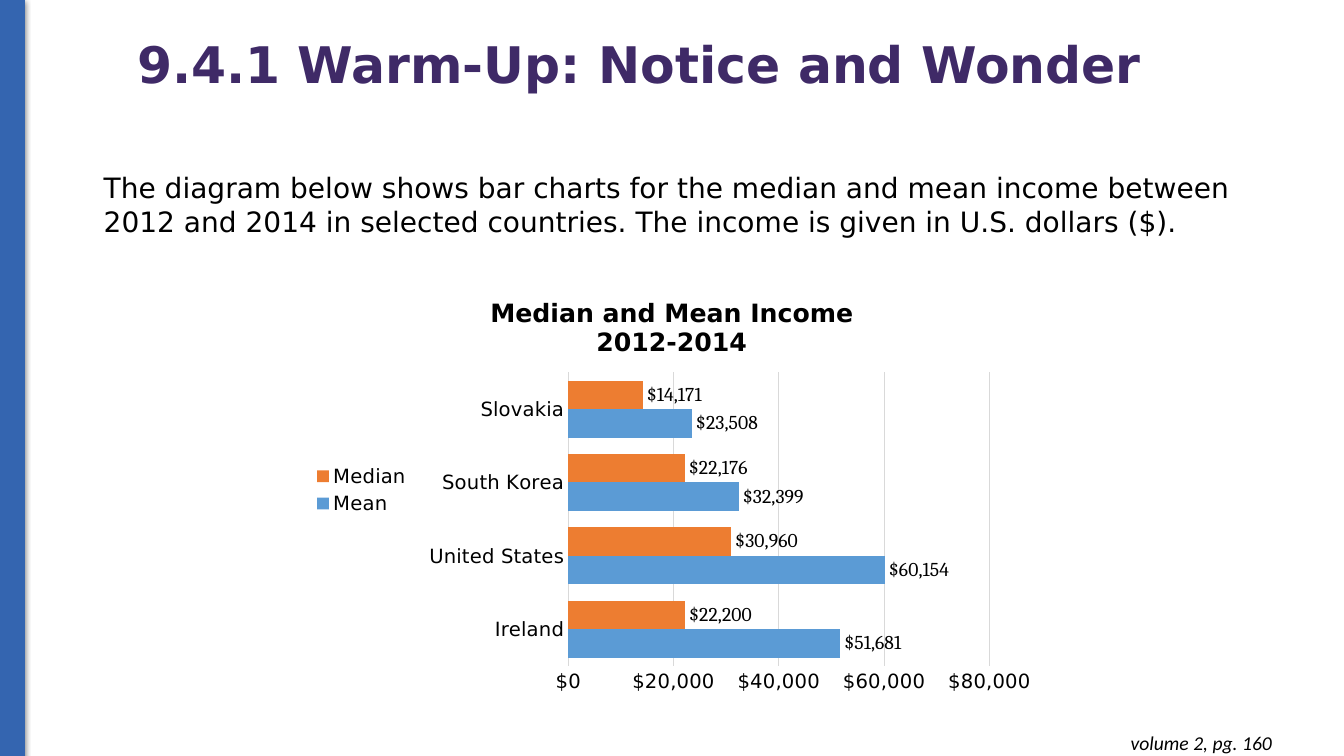
from lxml import etree
from pptx import Presentation
from pptx.chart.data import CategoryChartData
from pptx.dml.color import RGBColor
from pptx.enum.chart import XL_CHART_TYPE, XL_LABEL_POSITION, XL_LEGEND_POSITION, XL_TICK_MARK
from pptx.enum.shapes import MSO_SHAPE
from pptx.enum.text import MSO_ANCHOR, MSO_AUTO_SIZE, PP_ALIGN
from pptx.oxml import parse_xml
from pptx.oxml.ns import nsdecls, qn
from pptx.util import Cm, Pt

BAR_CLUSTERED = XL_CHART_TYPE.BAR_CLUSTERED
LEGEND_LEFT = XL_LEGEND_POSITION.LEFT
OUTSIDE_END = XL_LABEL_POSITION.OUTSIDE_END
NO_TICK = XL_TICK_MARK.NONE
RECTANGLE = MSO_SHAPE.RECTANGLE
TOP, MIDDLE = MSO_ANCHOR.TOP, MSO_ANCHOR.MIDDLE
NO_AUTOFIT = MSO_AUTO_SIZE.NONE
LEFT, RIGHT, CENTER = PP_ALIGN.LEFT, PP_ALIGN.RIGHT, PP_ALIGN.CENTER

COLORS = {
    "stripe": "3465B0",
    "title": "3F2A67",
    "text": "000000",
    "grid": "D9D9D9",
    "mean": "5B9BD5",
    "median": "ED7D31",
}
SANS = "DejaVu Sans"
DOLLARS = '"$"#,##0'

COUNTRIES = ["Ireland", "United States", "South Korea", "Slovakia"]
INCOMES = {
    "Mean": [51681, 60154, 32399, 23508],
    "Median": [22200, 30960, 22176, 14171],
}


def color(name):
    return RGBColor.from_string(COLORS[name])


def set_font(font, size, name=SANS, shade="text", bold=False, italic=False):
    font.size, font.name = Pt(size), name
    font.bold, font.italic = bold, italic
    font.color.rgb = color(shade)


def write(frame, text, align=LEFT, spacing=1.0, **font_format):
    """Fill a text frame, one paragraph for each line of text."""
    frame.text = text
    for para in frame.paragraphs:
        para.alignment = align
        para.line_spacing = spacing
        para.space_before = Pt(0)
        for span in para.runs:
            set_font(span.font, **font_format)


def place(shape, box):
    shape.left, shape.top, shape.width, shape.height = map(Cm, box)


def add_stripe(page, box):
    stripe = page.shapes.add_shape(RECTANGLE, *map(Cm, box))
    stripe.fill.solid()
    stripe.fill.fore_color.rgb = color("stripe")
    stripe.line.color.rgb = color("stripe")
    stripe.line.width = Pt(0.75)
    # Soft shadow
    stripe.shadow.inherit = False
    effects = stripe._element.spPr.find(qn("a:effectLst"))
    effects.append(parse_xml(
        f'<a:outerShdw {nsdecls("a")} blurRad="{Pt(4.5)}" dist="{Pt(1.5)}" '
        'dir="5400000" rotWithShape="0"><a:srgbClr val="000000">'
        '<a:alpha val="50000"/></a:srgbClr></a:outerShdw>'))


def add_heading(page, box):
    title = page.shapes.title
    place(title, box)
    frame = title.text_frame
    frame.auto_size = NO_AUTOFIT
    frame.vertical_anchor = MIDDLE
    write(frame, "9.4.1 Warm-Up: Notice and Wonder", spacing=0.9,
          size=36, shade="title", bold=True)


def add_intro(page, box):
    body = page.placeholders[1]
    place(body, box)
    frame = body.text_frame
    frame.auto_size = NO_AUTOFIT
    frame.vertical_anchor = TOP
    write(frame, "The diagram below shows bar charts for the median and mean income "
          "between 2012 and 2014 in selected countries. The income is given in "
          "U.S. dollars ($).", size=20)
    # Plain paragraph without bullet or indent
    properties = frame.paragraphs[0]._p.get_or_add_pPr()
    properties.set("marL", "0")
    properties.set("indent", "0")
    etree.SubElement(properties, qn("a:buNone"))


def set_plot_area(chart, **fractions):
    """Fix the inner plot area as fractions of the chart."""
    plot_area = chart._chartSpace.chart.plotArea
    for layout in plot_area.findall(qn("c:layout")):
        plot_area.remove(layout)
    settings = {"layoutTarget": "inner", "xMode": "edge", "yMode": "edge", **fractions}
    items = "".join(f'<c:{key} val="{value}"/>' for key, value in settings.items())
    plot_area.insert(0, parse_xml(
        f'<c:layout {nsdecls("c")}><c:manualLayout>{items}</c:manualLayout></c:layout>'))


def add_income_chart(page, box):
    data = CategoryChartData(number_format=DOLLARS)
    data.categories = COUNTRIES
    for name, values in INCOMES.items():
        data.add_series(name, values)
    chart = page.shapes.add_chart(BAR_CLUSTERED, *map(Cm, box), data).chart
    set_font(chart.font, 10, "Arial")
    set_plot_area(chart, x=0.36, y=0.22, w=0.57, h=0.7)

    # Title and legend
    chart.has_title = True
    write(chart.chart_title.text_frame, "Median and Mean Income\n2012-2014",
          align=CENTER, size=18, bold=True)
    chart.chart_title.include_in_layout = False
    chart.has_legend = True
    chart.legend.position = LEGEND_LEFT
    chart.legend.include_in_layout = False
    set_font(chart.legend.font, 14)

    # Axes
    countries, dollars = chart.category_axis, chart.value_axis
    for axis in (countries, dollars):
        axis.major_tick_mark = axis.minor_tick_mark = NO_TICK
        set_font(axis.tick_labels.font, 14)
    dollars.minimum_scale, dollars.maximum_scale = 0, 80000
    dollars.major_unit = 20000
    dollars.tick_labels.number_format = DOLLARS
    dollars.tick_labels.number_format_is_linked = False
    dollars.format.line.fill.background()
    for rule in (countries.format.line, dollars.major_gridlines.format.line):
        rule.color.rgb = color("grid")
        rule.width = Pt(0.75)

    # Bars and their labels
    plot = chart.plots[0]
    plot.gap_width, plot.overlap = 57, 0
    plot.vary_by_categories = False
    for series in plot.series:
        series.format.fill.solid()
        series.format.fill.fore_color.rgb = color(series.name.lower())
        labels = series.data_labels
        labels.show_value = True
        labels.position = OUTSIDE_END
        labels.number_format = DOLLARS
        labels.number_format_is_linked = False
        set_font(labels.font, 14, "Cambria")


def add_page_reference(page, box):
    frame = page.shapes.add_textbox(*map(Cm, box)).text_frame
    frame.word_wrap = True
    frame.margin_top = frame.margin_bottom = Cm(0.25)
    write(frame, "volume 2, pg. 160", align=RIGHT, size=14, name="Calibri", italic=True)


def main():
    deck = Presentation()
    deck.slide_width, deck.slide_height = Cm(33.87), Cm(19.05)
    page = deck.slides.add_slide(deck.slide_layouts[1])
    add_stripe(page, (0, 0, 0.61, 19.08))
    add_heading(page, (3.2, -0.15, 29.77, 3.68))
    add_intro(page, (2.36, 4.17, 30.4, 9.65))
    add_income_chart(page, (7.62, 7.06, 18.62, 10.57))
    add_page_reference(page, (25, 18.16, 7.31, 1.12))
    deck.save("out.pptx")


if __name__ == "__main__":
    main()
